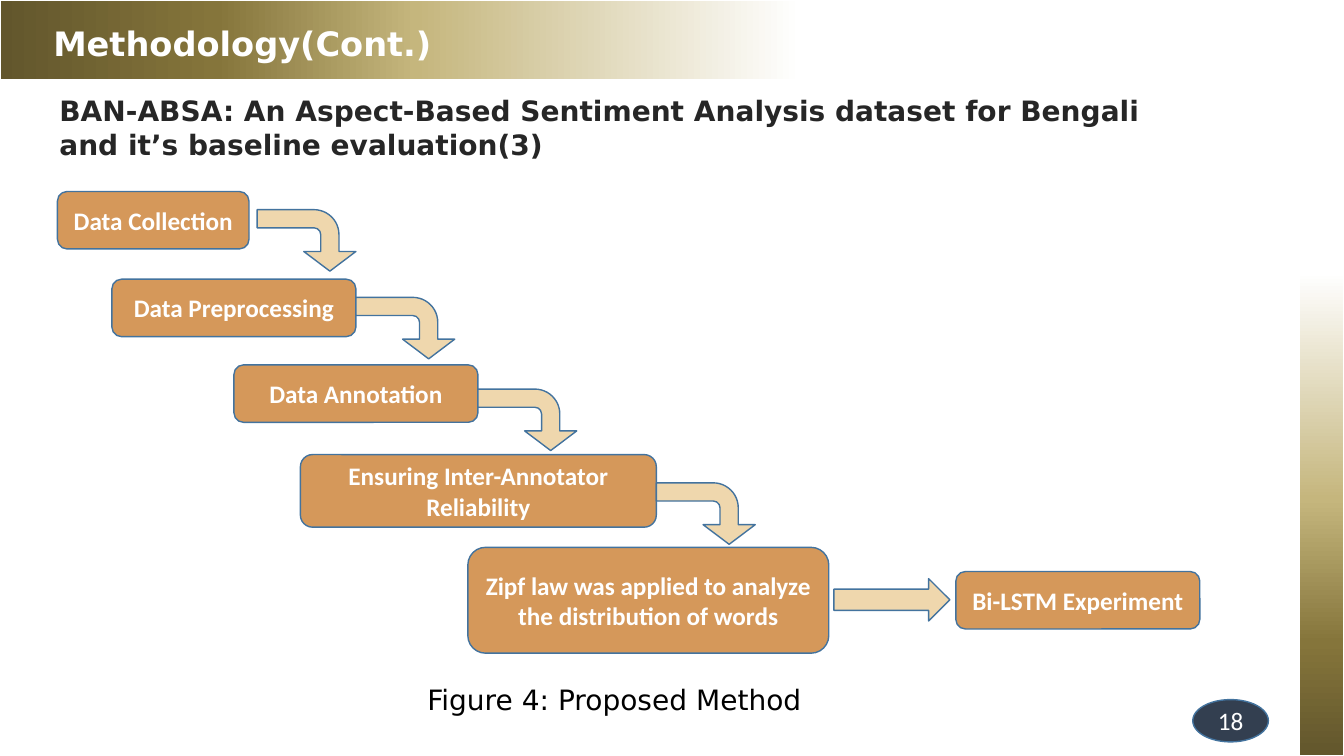
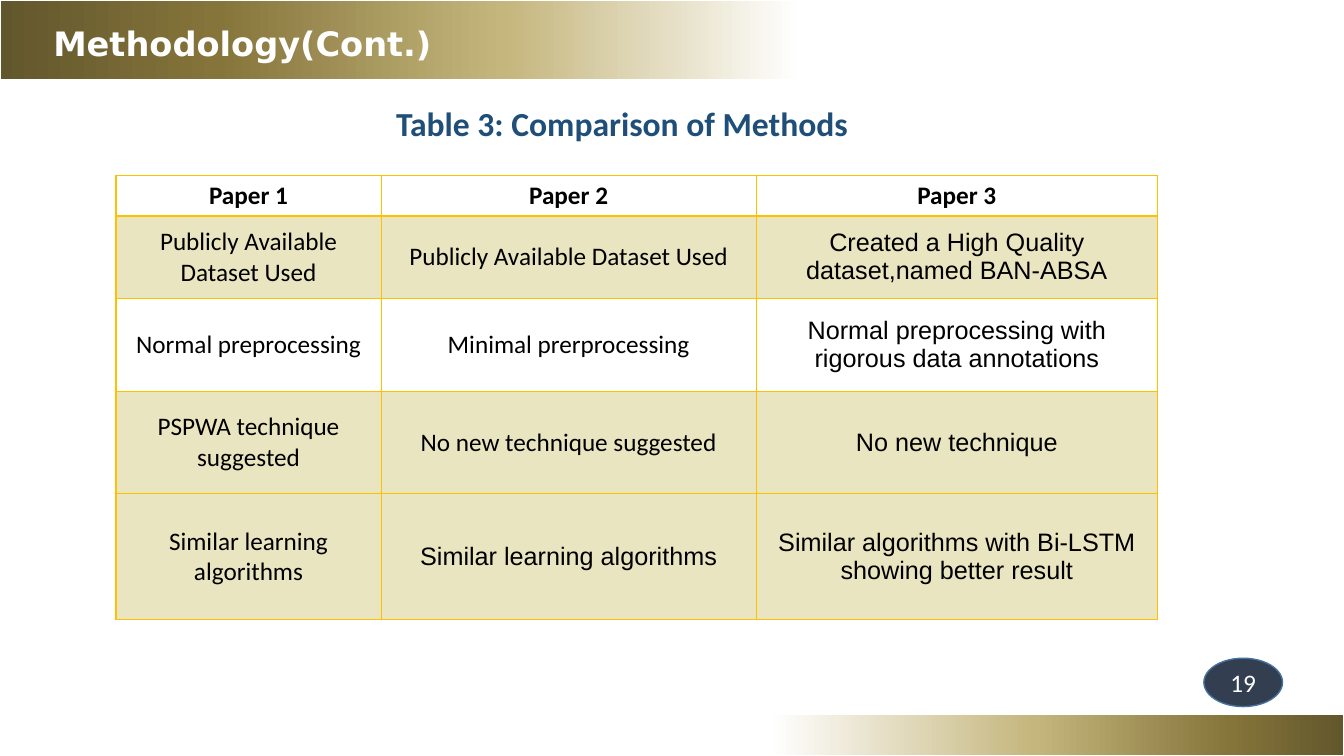
import pptx
import pptx.util
import pptx.dml.color
import pptx.enum.shapes
import pptx.enum.text
import pptx.oxml
from pptx.oxml.ns import nsdecls, qn

RGB = pptx.dml.color.RGBColor
SHAPE = pptx.enum.shapes.MSO_SHAPE
ANCHOR = pptx.enum.text.MSO_ANCHOR
ALIGN = pptx.enum.text.PP_ALIGN
Inches, Pt = pptx.util.Inches, pptx.util.Pt

WHITE = RGB(0xFF, 0xFF, 0xFF)
BLACK = RGB(0, 0, 0)
INK = RGB(0x26, 0x26, 0x26)
NAVY = RGB(0x1F, 0x4E, 0x79)
SLATE = RGB(0x33, 0x3F, 0x50)
OUTLINE = RGB(0x43, 0x73, 0x9E)
ORANGE = RGB(0xD5, 0x98, 0x5A)
SAND = RGB(0xEF, 0xD7, 0xAD)
KHAKI = RGB(0xEA, 0xE5, 0xC1)
GOLD = RGB(0xFF, 0xC0, 0x00)
BAND = (RGB(0x62, 0x56, 0x2C), RGB(0x85, 0x75, 0x3B), RGB(0xC5, 0xB6, 0x7D), WHITE)

SANS, BODY, ARIAL = "DejaVu Sans", "Calibri", "Arial"
W, H = 13.33, 7.5
TITLE = "Methodology(Cont.)"

STEPS = [
    ("Data Collection", (0.57, 1.9, 1.9, 0.57)),
    ("Data Preprocessing", (1.11, 2.77, 2.42, 0.57)),
    ("Data Annotation", (2.32, 3.62, 2.42, 0.57)),
    ("Ensuring Inter-Annotator Reliability", (2.98, 4.51, 3.53, 0.72)),
    ("Zipf law was applied to analyze the distribution of words", (4.64, 5.43, 3.58, 1.05)),
    ("Bi-LSTM Experiment", (9.48, 5.67, 2.42, 0.57)),
]
BENDS = [(0.08, 0.18), (0, 0.18), (0, 0.24), (0, 0.28)]
BEND_W, BEND_H = 0.98, 0.61
BEND_ADJ = (0.296, 0.424, 0.319, 0.406)

ROWS = [
    ("Paper 1", "Paper 2", "Paper 3"),
    ("Publicly Available Dataset Used", "Publicly Available Dataset Used",
     "Created a High Quality dataset,named BAN-ABSA"),
    ("Normal preprocessing", "Minimal prerprocessing",
     "Normal preprocessing with rigorous data annotations"),
    ("PSPWA technique suggested", "No new technique suggested", "No new technique"),
    ("Similar learning algorithms", "Similar learning algorithms",
     "Similar algorithms with Bi-LSTM showing better result"),
]
COL_W = (2.63, 3.72, 3.98)
ROW_H = (0.4, 0.82, 0.92, 1.02, 1.25)
SHADED_ROWS = (1, 3, 4)
ARIAL_CELLS = {(1, 2), (2, 2), (3, 2), (4, 1), (4, 2)}


def write(tf, text, size=18, font=BODY, color=WHITE, bold=False, align=ALIGN.CENTER):
    tf.word_wrap = True
    p = tf.paragraphs[0]
    p.alignment = align
    r = p.add_run()
    r.text = text
    r.font.size, r.font.name, r.font.bold = Pt(size), font, bold
    r.font.color.rgb = color


def add_text(s, text, box, anchor=ANCHOR.TOP, **fmt):
    tf = s.shapes.add_textbox(*map(Inches, box)).text_frame
    tf.vertical_anchor = anchor
    write(tf, text, **fmt)


def add_shape(s, kind, box, fill=None, line=OUTLINE, rotation=0, text=None, **fmt):
    sp = s.shapes.add_shape(kind, *map(Inches, box))
    sp.shadow.inherit = False
    sp.rotation = rotation
    sp.line.color.rgb, sp.line.width = line, Pt(1)
    if fill is not None:
        sp.fill.solid()
        sp.fill.fore_color.rgb = fill
    if text:
        sp.text_frame.vertical_anchor = ANCHOR.MIDDLE
        write(sp.text_frame, text, **fmt)
    return sp


def add_band(s, box, positions, rotation=0):
    sp = add_shape(s, SHAPE.RECTANGLE, box, line=WHITE, rotation=rotation)
    sp.fill.gradient()
    sp.fill.gradient_angle = 0
    stops = sp.element.spPr.find(qn("a:gradFill")).find(qn("a:gsLst"))
    for stop in list(stops):
        stops.remove(stop)
    for pos, color in zip(positions, BAND):
        stops.append(pptx.oxml.parse_xml(
            f'<a:gs {nsdecls("a")} pos="{pos * 1000}"><a:srgbClr val="{color}"/></a:gs>'))


def add_frame(s, number, badge, title_stops, side_box, side_stops, rotation):
    add_band(s, side_box, side_stops, rotation)
    add_band(s, (0, 0, 7.94, 0.79), title_stops)
    add_text(s, TITLE, (0.43, 0.03, 9.22, 0.79), anchor=ANCHOR.MIDDLE,
             size=24, font=SANS, bold=True, align=ALIGN.LEFT)
    add_shape(s, SHAPE.OVAL, badge, SLATE, text=str(number))


def add_borders(cell, row):
    tc_pr = cell._tc.get_or_add_tcPr()
    for i, side in enumerate("LRTB"):
        heavy = (row, side) in ((0, "B"), (1, "T"))
        tc_pr.insert(i, pptx.oxml.parse_xml(
            f'<a:ln{side} {nsdecls("a")} w="{Pt(2 if heavy else 1)}">'
            f'<a:solidFill><a:srgbClr val="{GOLD}"/></a:solidFill></a:ln{side}>'))


def method_slide(s):
    add_frame(s, 18, (11.83, 6.94, 0.75, 0.42), (0, 27, 52, 100),
              (9.36, 3.53, H, 0.44), (0, 15, 34, 64), 270)
    add_text(s, "BAN-ABSA: An Aspect-Based Sentiment Analysis dataset for Bengali "
             "and it’s baseline evaluation(3)", (0.49, 0.88, 11.02, 0.77),
             size=20, font=SANS, color=INK, bold=True, align=ALIGN.LEFT)
    for text, box in STEPS:
        add_shape(s, SHAPE.FLOWCHART_ALTERNATE_PROCESS, box, ORANGE, text=text, bold=True)
    for (_, (x, y, w, _)), (gap, drop) in zip(STEPS, BENDS):
        cx, cy = x + w + gap + BEND_W / 2, y + drop + BEND_H / 2
        sp = add_shape(s, SHAPE.BENT_ARROW,
                       (cx - BEND_H / 2, cy - BEND_W / 2, BEND_H, BEND_W), SAND, rotation=90)
        for i, value in enumerate(BEND_ADJ):
            sp.adjustments[i] = value
    add_shape(s, SHAPE.RIGHT_ARROW, (8.27, 5.74, 1.15, 0.42), SAND)
    add_text(s, "Figure 4: Proposed Method", (4.14, 6.72, 4.5, 0.44),
             size=20, font=SANS, color=BLACK, align=ALIGN.LEFT)


def comparison_slide(s):
    add_frame(s, 19, (11.94, 6.53, 0.78, 0.48), (0, 27, 63, 100),
              (W - 7.5, H - 0.41, 7.5, 0.41), (0, 15, 41, 76), 180)
    add_text(s, "Table 3: Comparison of Methods", (0.17, 0.97, 12, 0.5),
             size=24, color=NAVY, bold=True)
    box = (1.15, 1.74, sum(COL_W), sum(ROW_H))
    table = s.shapes.add_table(len(ROWS), len(COL_W), *map(Inches, box)).table
    table.first_row = table.horz_banding = False
    for col, width in zip(table.columns, COL_W):
        col.width = Inches(width)
    for i, (texts, height) in enumerate(zip(ROWS, ROW_H)):
        table.rows[i].height = Inches(height)
        for j, text in enumerate(texts):
            cell = table.cell(i, j)
            cell.vertical_anchor = ANCHOR.MIDDLE if i else ANCHOR.TOP
            cell.fill.solid()
            cell.fill.fore_color.rgb = KHAKI if i in SHADED_ROWS else WHITE
            add_borders(cell, i)
            write(cell.text_frame, text, color=BLACK, bold=i == 0,
                  font=ARIAL if (i, j) in ARIAL_CELLS else BODY)


def main():
    prs = pptx.Presentation()
    prs.slide_width, prs.slide_height = Inches(W), Inches(H)
    for build in (method_slide, comparison_slide):
        build(prs.slides.add_slide(prs.slide_layouts[6]))
    prs.save("out.pptx")


if __name__ == "__main__":
    main()
